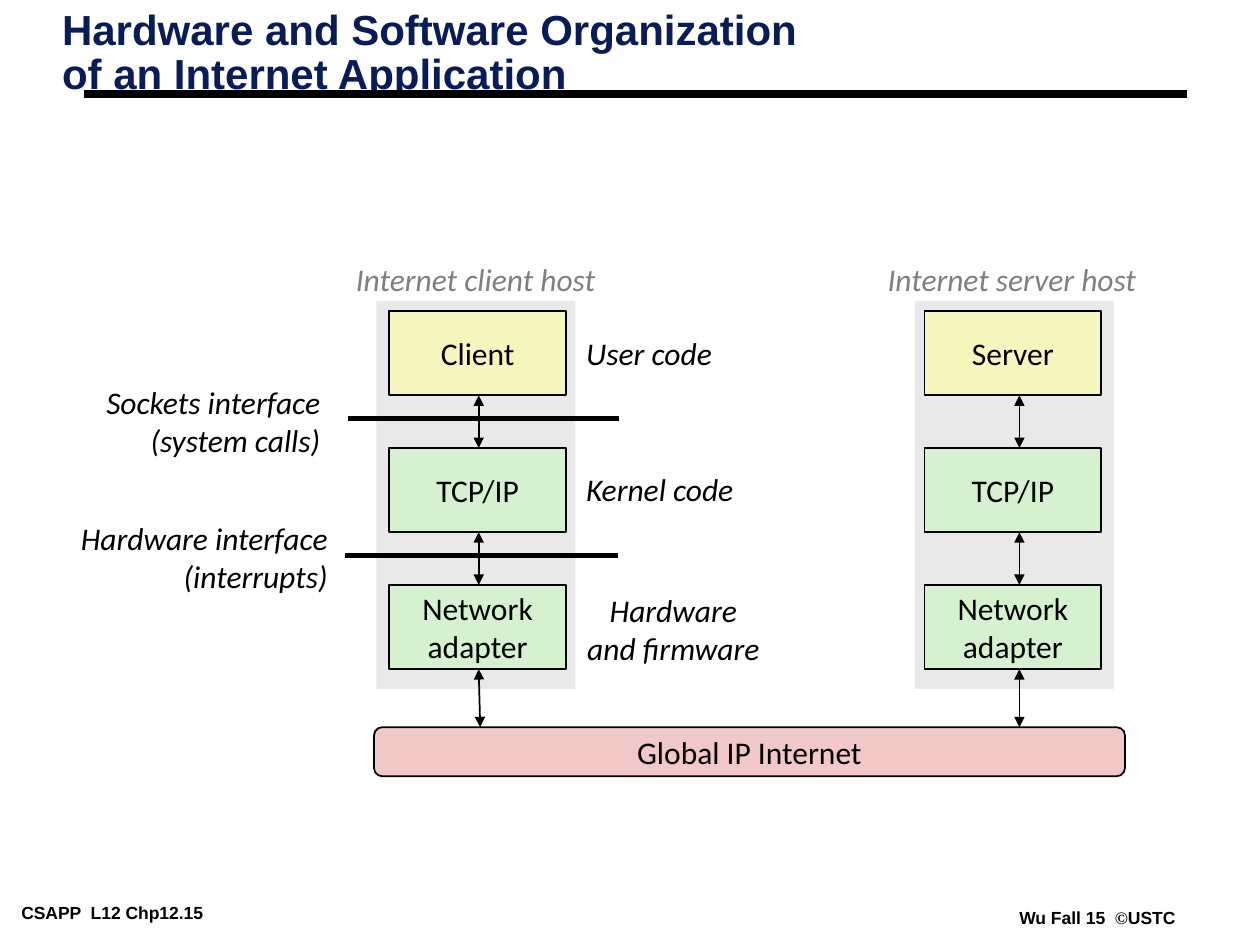
"""Build the slide on the organization of an Internet application."""
from dataclasses import dataclass

from lxml import etree
from pptx import Presentation
from pptx import util as u
from pptx.dml.color import RGBColor
from pptx.enum import shapes, text
from pptx.oxml import ns

COLORS = {"black": "000000", "navy": "081D58", "gray": "7F7F7F", "panel": "E9E9E9",
          "yellow": "F6F5BD", "green": "D5F1CF", "pink": "F1C7C7"}
LEFT, CENTER, RIGHT = text.PP_ALIGN.LEFT, text.PP_ALIGN.CENTER, text.PP_ALIGN.RIGHT
BOX_WIDTH, BOX_HEIGHT, BOX_TOP, BOX_PITCH = 3.56, 1.7, 6.27, 2.76
INTERNET_TOP = 14.66
FRAME = {"margin_left": u.Cm(0.25), "margin_right": u.Cm(0.25),
         "margin_top": u.Cm(0.13), "margin_bottom": u.Cm(0.13),
         "vertical_anchor": text.MSO_ANCHOR.MIDDLE, "word_wrap": False}
TIGHT = {"margin_left": u.Cm(0.18), "margin_right": u.Cm(0.18),
         "margin_top": u.Cm(0.08), "margin_bottom": u.Cm(0.08),
         "vertical_anchor": text.MSO_ANCHOR.TOP}
BODY = {"name": "Calibri", "size": u.Pt(18)}
ITALIC = BODY | {"italic": True}
FOOTER = {"name": "Arial", "size": u.Pt(10), "bold": True}
TITLE = FOOTER | {"size": u.Pt(24)}


@dataclass
class Area:
    left: float
    top: float
    width: float
    height: float

    def lengths(self) -> list:
        return [u.Cm(value) for value in (self.left, self.top, self.width, self.height)]


@dataclass
class Host:
    program: str
    panel_left: float
    box_left: float
    arrow_x: float
    arrow_end_x: float


@dataclass
class Label:
    words: str
    area: Area
    align: text.PP_ALIGN = CENTER
    color: str = "black"


HOSTS = [Host("Client", 7.59, 7.85, 9.65, 9.68),
         Host("Server", 18.44, 18.64, 20.55, 20.55)]
LABELS = [
    Label("Internet client host", Area(6.91, 5.11, 5.36, 1.02), color="gray"),
    Label("Internet server host", Area(17.63, 5.11, 5.54, 1.02), color="gray"),
    Label("Sockets interface\n(system calls)", Area(1.83, 7.59, 4.88, 1.78), RIGHT),
    Label("Hardware interface\n(interrupts)", Area(1.35, 10.34, 5.51, 1.78), RIGHT),
    Label("User code", Area(11.56, 6.6, 3.05, 1.02)),
    Label("Kernel code", Area(11.56, 9.35, 3.48, 1.02)),
    Label("Hardware\nand firmware", Area(11.58, 11.79, 3.99, 1.78)),
]


def apply(target, values: dict) -> None:
    for name, value in values.items():
        setattr(target, name, value)


def rgb(color: str) -> RGBColor:
    return RGBColor.from_string(COLORS[color])


def write(frame, words: str, font: dict, color: str, align) -> None:
    frame.text = words
    for para in frame.paragraphs:
        para.alignment = align
        for span in para.runs:
            apply(span.font, font)
            span.font.color.rgb = rgb(color)


def add_box(page, area: Area, fill: str, words: str = "", outlined: bool = True,
            kind=shapes.MSO_SHAPE.RECTANGLE):
    box = page.shapes.add_shape(kind, *area.lengths())
    box.shadow.inherit = False
    box.fill.solid()
    box.fill.fore_color.rgb = rgb(fill)
    if outlined:
        box.line.color.rgb = rgb("black")
        box.line.width = u.Pt(1)
    else:
        box.line.fill.background()
    if words:
        apply(box.text_frame, FRAME)
        write(box.text_frame, words, BODY, "black", CENTER)
    return box


def add_text(page, label: Label, font: dict, frame: dict):
    box = page.shapes.add_textbox(*label.area.lengths())
    apply(box.text_frame, frame)
    box.text_frame.auto_size = text.MSO_AUTO_SIZE.SHAPE_TO_FIT_TEXT
    write(box.text_frame, label.words, font, label.color, label.align)
    return box


def add_line(page, start: tuple, end: tuple, width: float, arrows: bool = False) -> None:
    line = page.shapes.add_connector(shapes.MSO_CONNECTOR.STRAIGHT,
                                     *(u.Cm(value) for value in start + end))
    line.line.color.rgb = rgb("black")
    line.line.width = u.Pt(width)
    if arrows:
        for tag in ("a:headEnd", "a:tailEnd"):
            etree.SubElement(line.line._get_or_add_ln(), ns.qn(tag), type="triangle")
    etree.SubElement(line._element.spPr, ns.qn("a:effectLst"))


def add_title(page) -> None:
    title = page.shapes.title
    apply(title, dict(zip(("left", "top", "width", "height"),
                          Area(1.07, 0.13, 22.58, 3.05).lengths())))
    apply(title.text_frame, TIGHT | {"word_wrap": True,
                                     "auto_size": text.MSO_AUTO_SIZE.NONE})
    write(title.text_frame, "Hardware and Software Organization\vof an Internet Application",
          TITLE, "navy", LEFT)
    title.text_frame.paragraphs[0].line_spacing = 0.87


def add_footers(page) -> None:
    frame = FRAME | TIGHT
    add_text(page, Label("CSAPP  L12 Chp12.15", Area(0.25, 18.11, 5.33, 0.56), LEFT),
             FOOTER, frame)
    credit = add_text(page, Label("Wu Fall 15  ", Area(20.37, 18.21, 3.51, 0.56), LEFT),
                      FOOTER, frame)
    for words, name in (("©", "Times New Roman"), ("USTC", "Arial")):
        span = credit.text_frame.paragraphs[0].add_run()
        span.text = words
        apply(span.font, FOOTER | {"name": name})
        span.font.color.rgb = rgb("black")


def add_host(page, host: Host) -> None:
    add_box(page, Area(host.panel_left, 6.07, 4.01, 7.82), "panel", outlined=False)
    layers = [(host.program, "yellow"), ("TCP/IP", "green"), ("Network\nadapter", "green")]
    tops = [BOX_TOP + BOX_PITCH * row for row in range(len(layers))]
    ends = [(host.arrow_x, top) for top in tops[1:]] + [(host.arrow_end_x, INTERNET_TOP)]
    for (words, fill), top, end in zip(layers, tops, ends):
        add_box(page, Area(host.box_left, top, BOX_WIDTH, BOX_HEIGHT), fill, words)
        add_line(page, (host.arrow_x, top + BOX_HEIGHT), end, 1, arrows=True)


def main() -> None:
    deck = Presentation()
    deck.slide_width, deck.slide_height = u.Cm(25.4), u.Cm(19.05)
    page = deck.slides.add_slide(deck.slide_layouts[5])
    add_footers(page)
    add_line(page, (1.7, 1.9), (23.93, 1.9), 4.5)
    add_title(page)
    for host in HOSTS:
        add_host(page, host)
    internet = add_box(page, Area(7.54, INTERNET_TOP, 15.14, 0.99), "pink",
                       "Global IP Internet", kind=shapes.MSO_SHAPE.ROUNDED_RECTANGLE)
    internet.adjustments[0] = 0.17
    for label in LABELS:
        add_text(page, label, ITALIC, FRAME)
    for left, right, level in ((7.01, 12.47, 8.43), (6.96, 12.45, 11.2)):
        add_line(page, (left, level), (right, level), 3)
    deck.save("out.pptx")


if __name__ == "__main__":
    main()
